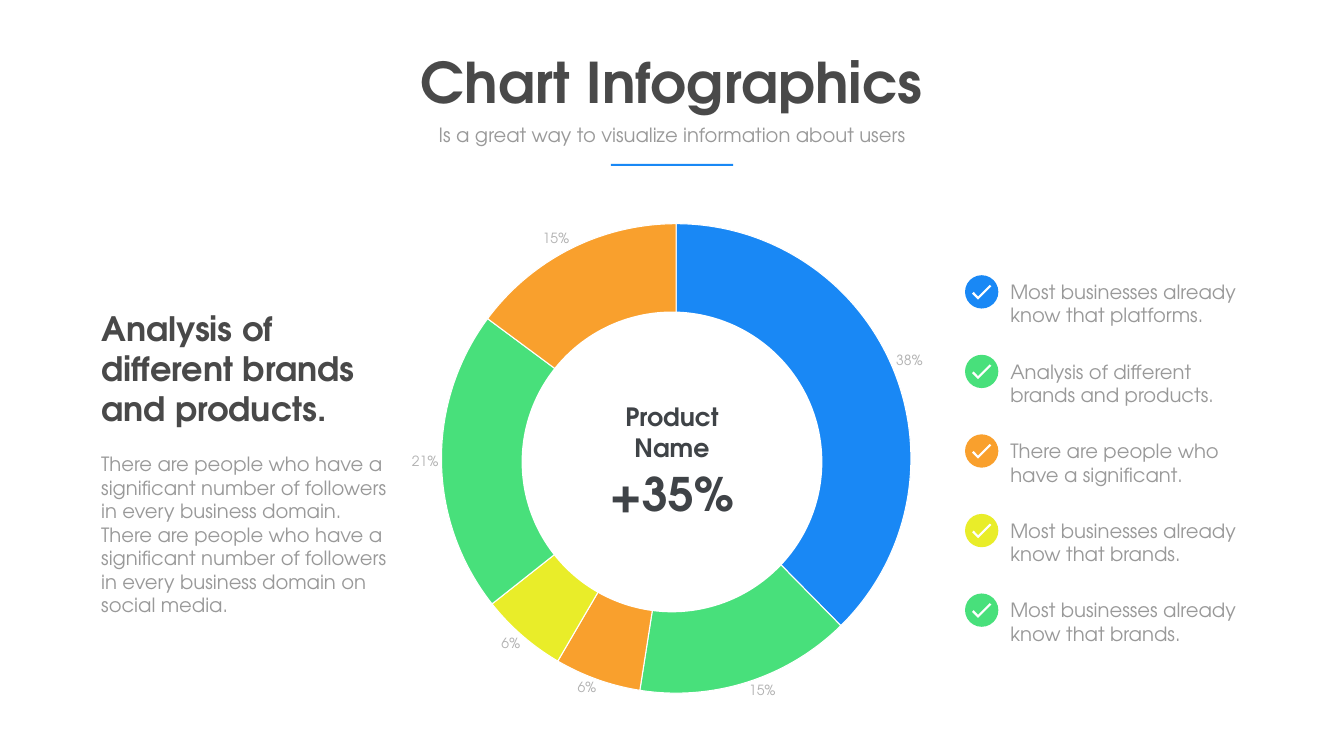
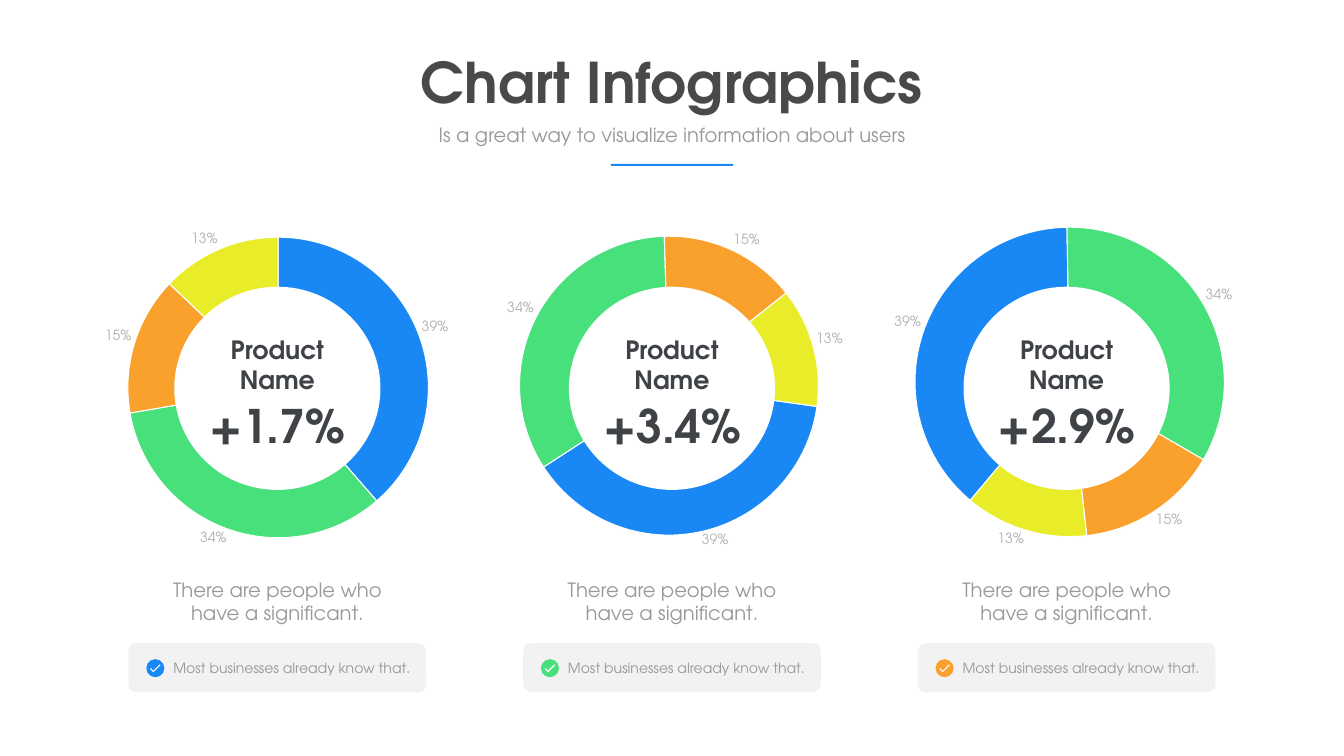
import pptx
import pptx.chart.data
import pptx.dml.color
import pptx.enum.chart
import pptx.enum.shapes
import pptx.enum.text
import pptx.util
from lxml import etree

Cm, Pt = pptx.util.Cm, pptx.util.Pt
FORM = pptx.enum.shapes.MSO_SHAPE
ALIGN = pptx.enum.text.PP_ALIGN
ANCHOR = pptx.enum.text.MSO_ANCHOR

# Content
TITLE = "Chart Infographics"
SUB = "Is a great way to visualize information about users"
HEAD = "Analysis of different brands and products."
BODY = (
    "There are people who have a significant number of followers in every "
    "business domain. There are people who have a significant number of "
    "followers in every business domain on social media."
)
NAME = "Product Name"
GAIN = "+35%"
SHARES = [
    (38, "blue"), (15, "green"), (6, "orange"),
    (6, "yellow"), (21, "green"), (15, "orange"),
]
POINTS = [
    ("blue", "Most businesses already know that platforms."),
    ("green", "Analysis of different brands and products."),
    ("orange", "There are people who have a significant."),
    ("yellow", "Most businesses already know that brands."),
    ("green", "Most businesses already know that brands."),
]
SPLIT = [(39, "blue"), (34, "green"), (15, "orange"), (13, "yellow")]
CARDS = [("+1.7%", 0, "blue"), ("+3.4%", 98, "green"), ("+2.9%", 220, "orange")]
CLAIM = "There are people who have a significant."
NOTE = "Most businesses already know that."

# Style
FONT = "TeX Gyre Adventor"
HUES = {
    "blue": "1988F5", "green": "48E07B", "orange": "F9A02D",
    "yellow": "E9ED29", "white": "FFFFFF", "pale": "F2F2F2",
    "dark": "494949", "ink": "3F4347", "gray": "999999", "light": "B2B2B2",
}
WIDE, HIGH = 67.74, 38.1
MID = WIDE / 2
# Check mark outline, as shares of its disc
TICK = [(.39, .64), (.26, .5), (.21, .55), (.39, .73), (.79, .33), (.74, .29)]


def hue(name):
    return pptx.dml.color.RGBColor.from_string(HUES[name])


def style(font, size, color, bold=False):
    font.name, font.size, font.bold = FONT, Pt(size), bold
    font.color.rgb = hue(color)


def paint(shape, color):
    shape.shadow.inherit = False
    shape.fill.solid()
    shape.fill.fore_color.rgb = hue(color)
    shape.line.fill.background()


def block(slide, form, box, color):
    paint(slide.shapes.add_shape(form, *map(Cm, box)), color)


def write(slide, text, box, size, color, bold=False, mid=False, inset=None):
    frame = slide.shapes.add_textbox(*map(Cm, box)).text_frame
    frame.word_wrap = True
    frame.auto_size = pptx.enum.text.MSO_AUTO_SIZE.SHAPE_TO_FIT_TEXT
    if inset is not None:
        frame.margin_left = frame.margin_right = Cm(inset)
        frame.margin_top = frame.margin_bottom = Cm(inset)
        frame.vertical_anchor = ANCHOR.MIDDLE
    para = frame.paragraphs[0]
    para.text = text
    para.alignment = ALIGN.CENTER if mid else ALIGN.LEFT
    style(para.font, size, color, bold)


def center(x, y, w, h):
    """Box of the given size whose middle is at x."""
    return x - w / 2, y, w, h


def check(slide, x, y, size, color):
    block(slide, FORM.OVAL, (x, y, size, size), color)
    dots = [(Cm(x + a * size), Cm(y + b * size)) for a, b in TICK]
    path = slide.shapes.build_freeform(*dots[0])
    path.add_line_segments(dots[1:], close=True)
    paint(path.convert_to_shape(), "white")


def ring(slide, parts, box, hole, start=0):
    """Pie chart with a white disc over its middle."""
    data = pptx.chart.data.CategoryChartData()
    data.categories = [str(n + 1) for n in range(len(parts))]
    data.add_series("Series 1", [value for value, _ in parts])
    kind = pptx.enum.chart.XL_CHART_TYPE.PIE
    chart = slide.shapes.add_chart(kind, *map(Cm, box), data).chart
    chart.has_title = chart.has_legend = False
    style(chart.font, 18, "gray")

    plot = chart.plots[0]
    plot.vary_by_categories = False
    for n, (_, color) in enumerate(parts):
        form = plot.series[0].points[n].format
        form.fill.solid()
        form.fill.fore_color.rgb = hue(color)
        form.line.color.rgb = hue("white")
        form.line.width = Pt(1.5)

    tags = plot.series[0].data_labels
    tags.show_percentage, tags.show_value = True, False
    tags.number_format, tags.number_format_is_linked = "0%", False
    tags.position = pptx.enum.chart.XL_LABEL_POSITION.OUTSIDE_END
    style(tags.font, 20, "light")

    pie = plot._element
    turn = etree.SubElement(pie, etree.QName(pie.tag).namespace.join("{}") + "firstSliceAng")
    turn.set("val", str(start))
    block(slide, FORM.OVAL, hole, "white")


def label(slide, x, name, gain):
    """Product name and gain, each a (text, top, width, height) tuple."""
    for (text, y, w, h), size in ((name, 36), (gain, 66)):
        write(slide, text, center(x, y, w, h), size, "ink", True, True, 0.15)


def begin(deck):
    """New slide with the shared title band."""
    slide = deck.slides.add_slide(deck.slide_layouts[6])
    write(slide, TITLE, center(MID, 2.29, 32.79, 3.68), 80, "dark", True, True)
    write(slide, SUB, center(MID, 6.05, 24.28, 1.45), 28, "gray", mid=True)
    block(slide, FORM.RECTANGLE, center(MID, 8.26, 6.17, 0.1), "blue")
    return slide


def brands(deck):
    slide = begin(deck)
    # Large ring
    ring(slide, SHARES, center(MID, 10.72, 35.41, 25.1),
         center(MID, 15.7, 15.16, 15.16))
    label(slide, MID, (NAME, 20.09, 6.71, 3.35), (GAIN, 23.32, 6.71, 3.1))
    # Left column
    write(slide, BODY, (4.85, 22.66, 15.16, 8.64), 28, "gray")
    write(slide, HEAD, (4.85, 15.37, 15.16, 6.4), 48, "dark", True)
    # Checked list
    for n, (color, text) in enumerate(POINTS):
        y = 13.87 + n * 4.01
        check(slide, 48.64, y, 1.68, color)
        write(slide, text, (50.67, y + 0.11, 12.19, 2.64), 28, "gray")


def trio(deck):
    slide = begin(deck)
    for n, (gain, start, color) in enumerate(CARDS):
        x = MID + (n - 1) * 19.89
        # Ring
        ring(slide, SPLIT, center(x, 11.1, 24.28, 16.94),
             center(x, 14.45, 10.39, 10.24), start)
        label(slide, x, (NAME, 16.69, 7.85, 3.35), (gain, 19.86, 10.41, 3.1))
        # Claim and note
        write(slide, CLAIM, center(x, 28.98, 12.5, 2.64), 28, "gray", mid=True)
        box = center(x, 32.41, 15.01, 2.49)
        block(slide, FORM.ROUNDED_RECTANGLE, box, "pale")
        check(slide, box[0] + 0.9, 33.22, 0.91, color)
        write(slide, NOTE, (box[0] + 2.01, 33.1, 12.7, 1.12), 20, "gray")


def main():
    deck = pptx.Presentation()
    deck.slide_width, deck.slide_height = Cm(WIDE), Cm(HIGH)
    brands(deck)
    trio(deck)
    deck.save("out.pptx")


if __name__ == "__main__":
    main()
